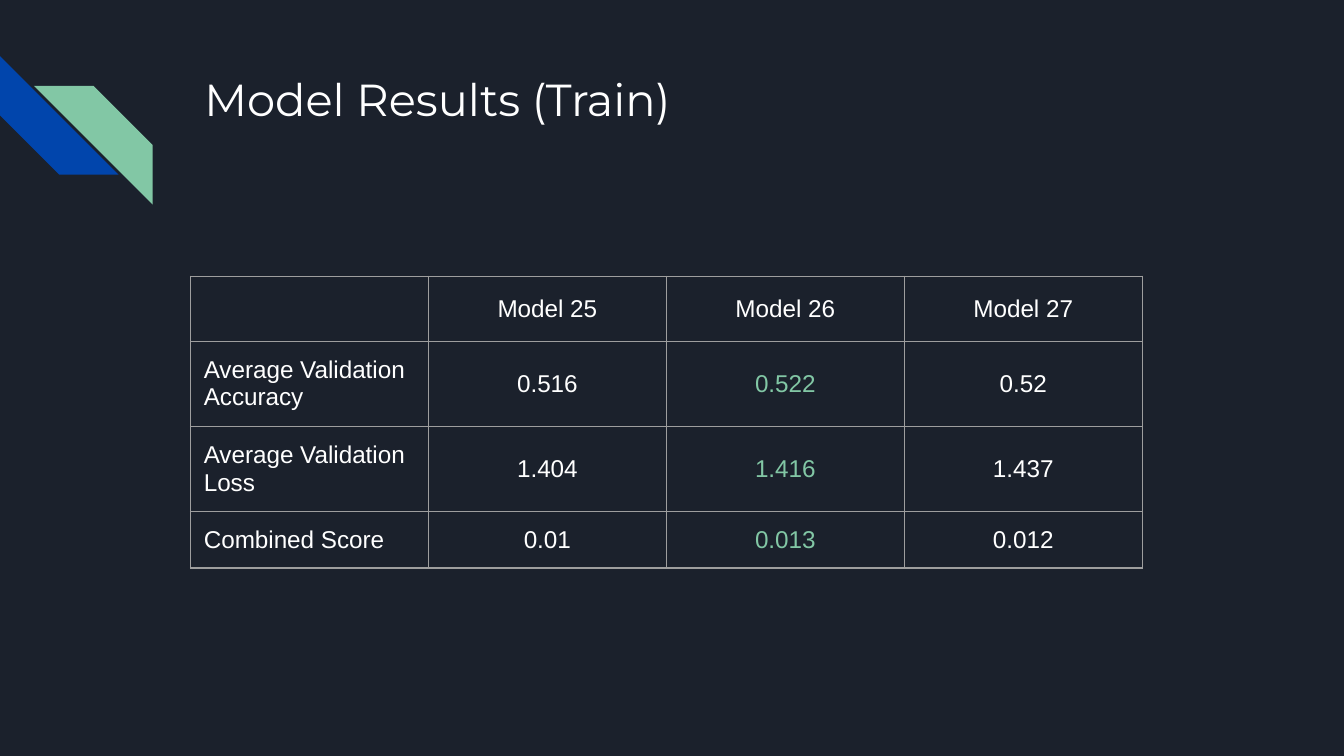
from lxml.etree import SubElement
from pptx import Presentation
from pptx.dml.color import RGBColor
from pptx.enum.shapes import MSO_SHAPE
from pptx.enum.text import MSO_ANCHOR, PP_ALIGN
from pptx.oxml.ns import qn
from pptx.util import Pt

NAVY, BLUE, GREEN, WHITE, GRAY = "1B212C", "0145AC", "82C7A5", "FFFFFF", "9E9E9E"
INSET = 7.2
BEST_COLUMN = 2
ROW_HEIGHTS = [34.8, 43.4, 43.4, 30.2]
RESULTS = [
    ["", "Model 25", "Model 26", "Model 27"],
    ["Average Validation Accuracy", "0.516", "0.522", "0.52"],
    ["Average Validation Loss", "1.404", "1.416", "1.437"],
    ["Combined Score", "0.01", "0.013", "0.012"],
]


def color(value):
    return RGBColor.from_string(value)


def set_font(paragraph, name, size, value):
    font = paragraph.font
    font.name, font.size = name, Pt(size)
    font.color.rgb = color(value)


def set_insets(target):
    """Give a text frame or a table cell the same margin on every side."""
    target.margin_left = target.margin_right = Pt(INSET)
    target.margin_top = target.margin_bottom = Pt(INSET)


def add_stripes(slide, left, top, size):
    """Place two interlocking diagonal stripes, each as wide as size."""
    stripes = [(0, 0, 270, BLUE), (18.2, 16, 90, GREEN)]
    for shift_x, shift_y, rotation, fill in stripes:
        stripe = slide.shapes.add_shape(
            MSO_SHAPE.DIAGONAL_STRIPE,
            Pt(left + shift_x), Pt(top + shift_y), Pt(size), Pt(size))
        stripe.rotation = rotation
        stripe.shadow.inherit = False
        stripe.fill.solid()
        stripe.fill.fore_color.rgb = color(fill)
        stripe.line.fill.background()


def add_title(slide, text, left, top, width, height):
    box = slide.shapes.add_textbox(Pt(left), Pt(top), Pt(width), Pt(height))
    frame = box.text_frame
    frame.word_wrap = True
    set_insets(frame)
    frame.text = text
    set_font(frame.paragraphs[0], "Montserrat", 24, WHITE)


def add_borders(cell):
    properties = cell._tc.get_or_add_tcPr()
    for index, side in enumerate(("lnL", "lnR", "lnT", "lnB")):
        line = properties.makeelement(qn(f"a:{side}"), {"w": str(Pt(0.75))})
        fill = SubElement(line, qn("a:solidFill"))
        SubElement(fill, qn("a:srgbClr"), val=GRAY)
        properties.insert(index, line)


def add_results(slide, left, top, width):
    table = slide.shapes.add_table(
        len(RESULTS), len(RESULTS[0]),
        Pt(left), Pt(top), Pt(width), Pt(sum(ROW_HEIGHTS))).table
    table.first_row = table.horz_banding = False
    for column in table.columns:
        column.width = Pt(width / len(RESULTS[0]))
    for row_index, values in enumerate(RESULTS):
        table.rows[row_index].height = Pt(ROW_HEIGHTS[row_index])
        for column_index, value in enumerate(values):
            cell = table.cell(row_index, column_index)
            cell.text = value
            cell.fill.background()
            cell.vertical_anchor = MSO_ANCHOR.MIDDLE
            set_insets(cell)
            add_borders(cell)
            paragraph = cell.text_frame.paragraphs[0]
            paragraph.alignment = PP_ALIGN.CENTER if column_index else PP_ALIGN.LEFT
            is_best = row_index > 0 and column_index == BEST_COLUMN
            set_font(paragraph, "Arial", 13, GREEN if is_best else WHITE)


def main():
    presentation = Presentation()
    presentation.slide_width, presentation.slide_height = Pt(720), Pt(405)
    slide = presentation.slides.add_slide(presentation.slide_layouts[6])
    slide.background.fill.solid()
    slide.background.fill.fore_color.rgb = color(NAVY)
    add_stripes(slide, 0, 30, 63.6)
    add_title(slide, "Model Results (Train)", 102.4, 31, 554.4, 72)
    add_results(slide, 102, 148, 510)
    presentation.save("out.pptx")


if __name__ == "__main__":
    main()
